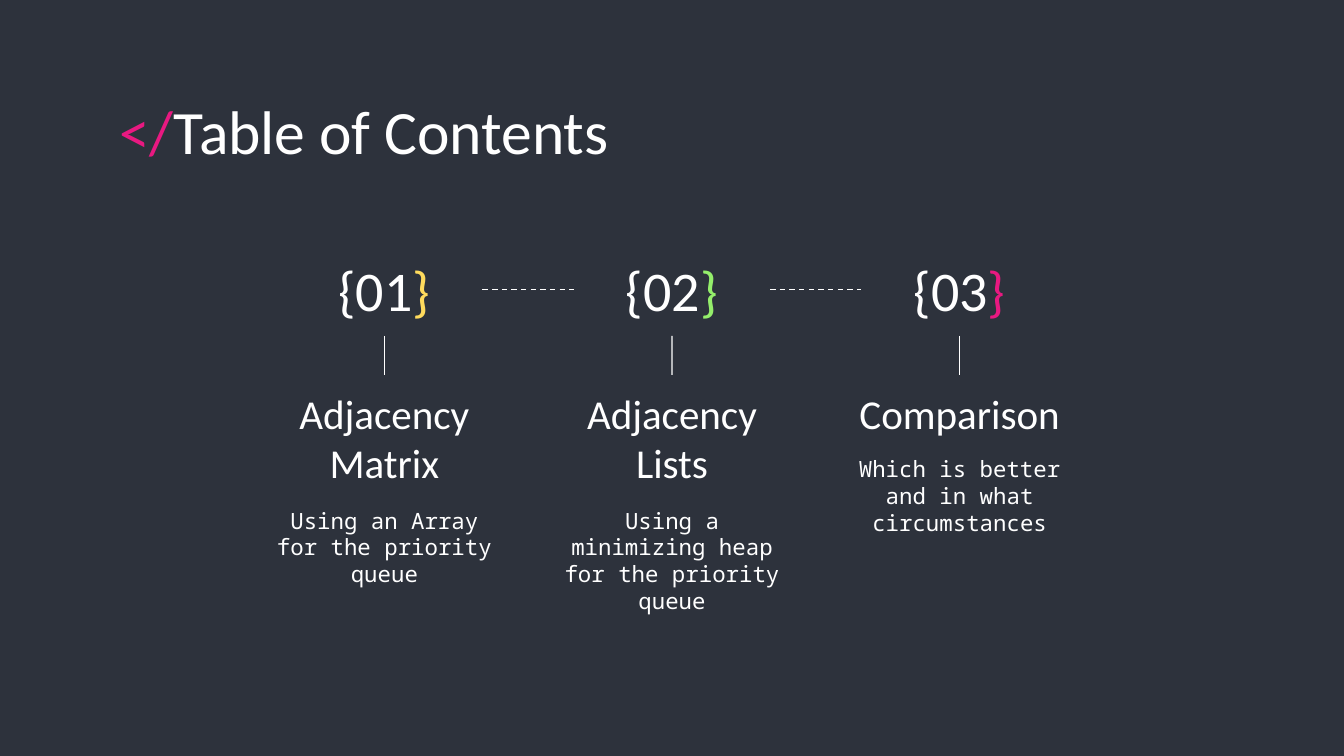
from pptx import Presentation
from pptx.dml.color import RGBColor
from pptx.enum.dml import MSO_LINE
from pptx.enum.shapes import MSO_CONNECTOR
from pptx.enum.text import MSO_ANCHOR as ANCHOR, PP_ALIGN as ALIGN
from pptx.util import Inches, Pt
from lxml import etree

BACK, WHITE, PINK, YELLOW, GREEN = "2D323C", "FFFFFF", "E81981", "FFDB5D", "94EE6B"
TOP, LEFT, BOTTOM, RIGHT = range(4)


def rgb(value):
    return RGBColor.from_string(value)


class Deck:
    FORMATS = {
        "title": {"name": "Calibri", "size": Pt(33)},
        "number": {"name": "Calibri", "size": Pt(30)},
        "heading": {"name": "Calibri", "size": Pt(22)},
        "body": {"name": "Noto Sans Mono", "size": Pt(12)},
    }

    def __init__(self, width):
        self.prs = Presentation()
        self.prs.slide_width = Inches(width)
        self.prs.slide_height = Inches(width * 9 / 16)

    def add_slide(self, color):
        self.s = self.prs.slides.add_slide(self.prs.slide_layouts[6])
        fill = self.s.background.fill
        fill.solid()
        fill.fore_color.rgb = rgb(color)

    def text(self, box, paragraphs, style, align=ALIGN.CENTER, anchor=ANCHOR.TOP):
        """Each paragraph is a list of (text, colour) runs."""
        sp = self.s.shapes.add_textbox(*map(Inches, box))
        tf = sp.text_frame
        frame = {"word_wrap": True, "vertical_anchor": anchor}
        frame.update({f"margin_{side}": Inches(0.1)
                      for side in ("left", "top", "right", "bottom")})
        for key, value in frame.items():
            setattr(tf, key, value)
        for i, runs in enumerate(paragraphs):
            p = tf.add_paragraph() if i else tf.paragraphs[0]
            p.alignment = align
            for words, color in runs:
                r = p.add_run()
                r.text = words
                for key, value in self.FORMATS[style].items():
                    setattr(r.font, key, value)
                r.font.color.rgb = rgb(color)
        return sp

    def link(self, start, start_side, end, end_side, dash=None):
        line = self.s.shapes.add_connector(MSO_CONNECTOR.STRAIGHT, 0, 0, 0, 0)
        line.begin_connect(start, start_side)
        line.end_connect(end, end_side)
        for key, value in {"width": Pt(0.75), "dash_style": dash}.items():
            setattr(line.line, key, value)
        line.line.color.rgb = rgb(WHITE)
        props = line._element.spPr
        etree.SubElement(props, f"{{{props.nsmap['a']}}}effectLst")


def main():
    deck = Deck(10)
    deck.add_slide(BACK)

    # Title
    deck.text((0.79, 0.59, 8.43, 0.63),
              [[("</", PINK), ("Table of Contents", WHITE)]],
              "title", ALIGN.LEFT)

    # Chapters: heading lines, description, description top, brace colour
    chapters = [
        (["Adjacency", "Matrix"], "Using an Array for the priority queue", 3.67, YELLOW),
        (["Adjacency Lists"], "Using a minimizing heap for the priority queue", 3.67, GREEN),
        (["Comparison"], "Which is better and in what circumstances", 3.29, PINK),
    ]
    width = 1.99
    previous = None
    for i, (heading, body, body_top, color) in enumerate(chapters):
        center = 2.86 + 2.14 * i
        left = center - width / 2
        number = deck.text((center - 0.73, 1.81, 1.46, 0.69),
                           [[(f"{{{i + 1:02}", WHITE), ("}", color)]],
                           "number", anchor=ANCHOR.BOTTOM)
        label = deck.text((left, 2.79, width, 0.5),
                          [[(words, WHITE)] for words in heading], "heading")
        deck.text((left, body_top, width, 0.6), [[(body, WHITE)]], "body")

        # Lines down to the heading and across from the previous number
        deck.link(number, BOTTOM, label, TOP)
        if previous is not None:
            deck.link(previous, RIGHT, number, LEFT, MSO_LINE.DASH)
        previous = number

    deck.prs.save("out.pptx")


if __name__ == "__main__":
    main()
